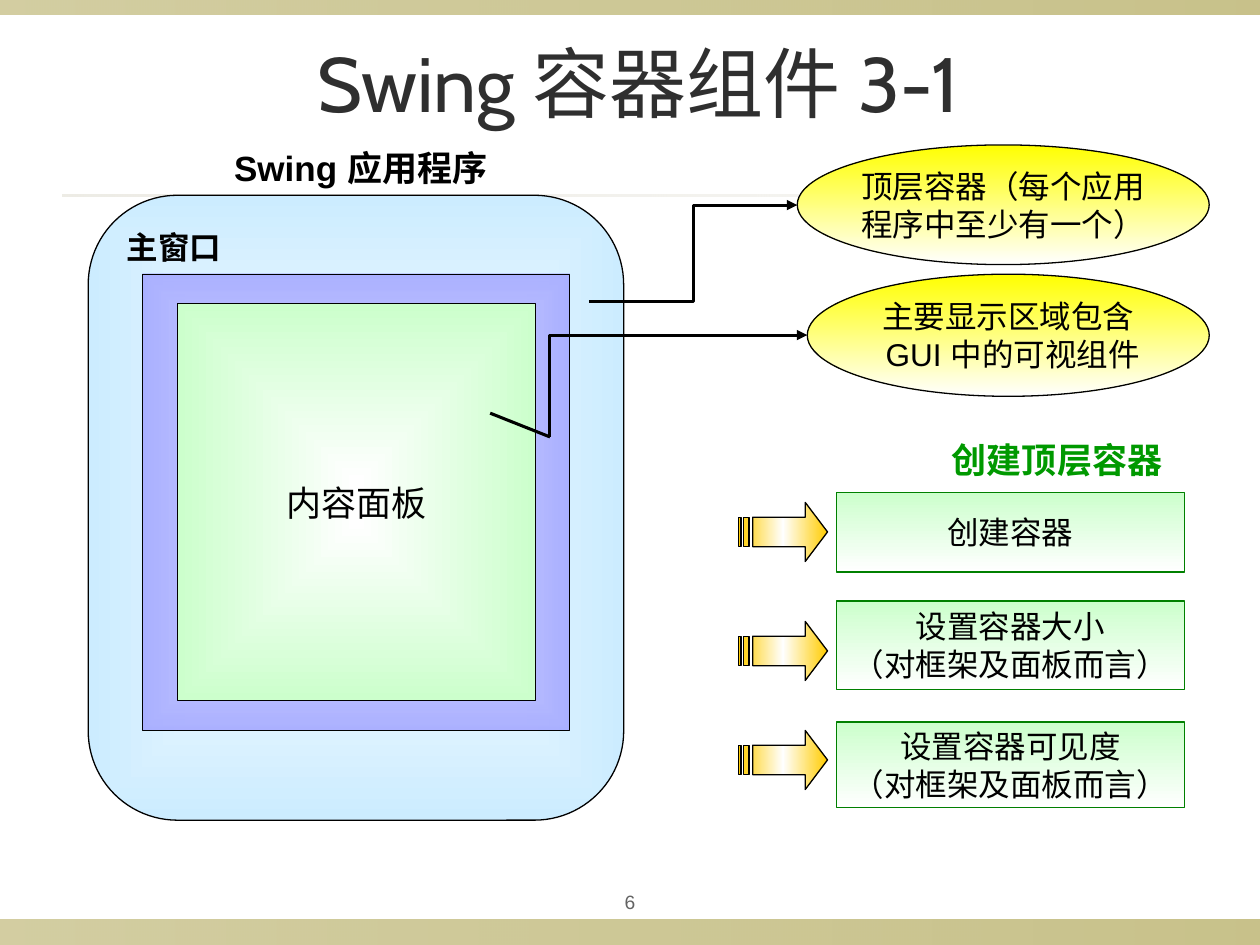
from lxml import etree
from pptx import Presentation
from pptx.dml.color import RGBColor
from pptx.enum.shapes import MSO_CONNECTOR, MSO_SHAPE
from pptx.enum.text import MSO_ANCHOR, PP_ALIGN
from pptx.oxml import parse_xml
from pptx.oxml.ns import nsdecls, qn
from pptx.util import Pt

RECT, OVAL = MSO_SHAPE.RECTANGLE, MSO_SHAPE.OVAL
ROUNDED = MSO_SHAPE.FLOWCHART_ALTERNATE_PROCESS
STRAIGHT, ELBOW = MSO_CONNECTOR.STRAIGHT, MSO_CONNECTOR.ELBOW
LEFT, CENTER = PP_ALIGN.LEFT, PP_ALIGN.CENTER
TOP, MIDDLE = MSO_ANCHOR.TOP, MSO_ANCHOR.MIDDLE

COLORS = {
    "black": "000000", "white": "FFFFFF", "title": "2F2F2F", "number": "636363",
    "olive": "918415", "rule": "DCD9CC", "sky": "CCECFF", "violet": "9999FF",
    "mint": "CCFFCC", "border": "008000", "heading": "009900",
    "yellow": "FFFF00", "gold": "FFCC00",
}


def set_text(sp, text, size=18, color="black", bold=False, font="Arial",
             align=CENTER, anchor=MIDDLE, wrap=False):
    """Fill a shape with text, one paragraph for each line."""
    tf = sp.text_frame
    tf.word_wrap = wrap
    tf.vertical_anchor = anchor
    for i, line in enumerate(text.split("\n")):
        p = tf.paragraphs[0] if i == 0 else tf.add_paragraph()
        p.alignment = align
        r = p.add_run()
        r.text = line
        r.font.name = font
        r.font.size = Pt(size)
        r.font.bold = bold
        r.font.color.rgb = RGBColor.from_string(COLORS[color])


def set_style(sp, stops, angle=None, line=None):
    """Gradient of (colour, opacity) stops; without an angle it runs from the centre."""
    sp.shadow.inherit = False
    if line:
        sp.line.color.rgb = RGBColor.from_string(COLORS[line])
        sp.line.width = Pt(0.75)
    else:
        sp.line.fill.background()
    gs = "".join(
        f'<a:gs pos="{100000 * i // (len(stops) - 1)}"><a:srgbClr val="{COLORS[c]}">'
        f'<a:alpha val="{alpha * 1000}"/></a:srgbClr></a:gs>'
        for i, (c, alpha) in enumerate(stops))
    if angle is None:
        run = ('<a:path path="rect"><a:fillToRect l="50000" t="50000" '
               'r="50000" b="50000"/></a:path>')
    else:
        run = f'<a:lin ang="{angle * 60000}" scaled="0"/>'
    grad = parse_xml(f'<a:gradFill {nsdecls("a")} rotWithShape="1">'
                     f'<a:gsLst>{gs}</a:gsLst>{run}</a:gradFill>')
    sp._element.spPr.find(qn("a:ln")).addprevious(grad)


prs = Presentation()
prs.slide_width, prs.slide_height = Pt(720), Pt(540)
s = prs.slides.add_slide(prs.slide_layouts[5])

# Bands and title rule
for x, y, w, h, color, start, end in (
    (0, 525.6, 720, 14.4, "olive", 40, 50),
    (0, 0, 720, 8.6, "olive", 40, 50),
    (36, 110.9, 648, 1.4, "rule", 50, 20),
):
    sp = s.shapes.add_shape(RECT, Pt(x), Pt(y), Pt(w), Pt(h))
    set_style(sp, [(color, start), (color, end)], angle=0)

# Title
title = s.shapes.title
title.left, title.top, title.width, title.height = Pt(33.8), Pt(15.1), Pt(671.8), Pt(62.6)
set_text(title, "Swing 容器组件 3-1 ", size=44, color="title", font="Cabin", wrap=True)

# Nested containers, callouts and steps
from_center = [("white", 100), ("sky", 100)], None, "black"
window = [("white", 100), ("violet", 73)], None, "black"
panel = [("white", 100), ("mint", 100)], None, "black"
callout = [("yellow", 100), ("white", 100)], 90, "black"
step = [("mint", 100), ("white", 100)], 90, "border"
for kind, x, y, w, h, style, text, fmt in (
    (ROUNDED, 50.4, 111.6, 306, 357.1, from_center, "主窗口",
     {"bold": True, "align": LEFT, "anchor": TOP}),
    (RECT, 81.4, 156.7, 244, 260.6, window, "", {}),
    (RECT, 101.5, 173.5, 204.5, 226.8, panel, "内容面板", {"size": 20}),
    (OVAL, 455.6, 82.8, 235.4, 68.4, callout, "顶层容器（每个应用\n程序中至少有一个）", {}),
    (OVAL, 461.3, 156.7, 229.7, 69.8, callout, "主要显示区域包含\n GUI 中的可视组件", {}),
    (RECT, 478.1, 281.5, 198.7, 45.4, step, "创建容器", {}),
    (RECT, 478.1, 343.5, 198.7, 50.4, step, "设置容器大小\n（对框架及面板而言）", {}),
    (RECT, 478.1, 412.6, 198.7, 49, step, "设置容器可见度\n（对框架及面板而言）", {}),
):
    sp = s.shapes.add_shape(kind, Pt(x), Pt(y), Pt(w), Pt(h))
    set_style(sp, *style)
    if text:
        set_text(sp, text, **fmt)

# Headings and slide number
for x, y, w, h, text, fmt in (
    (126.7, 79.9, 204.5, 31.7, "Swing 应用程序",
     {"size": 20, "bold": True, "align": LEFT, "anchor": TOP}),
    (456.5, 247, 295.2, 31.7, "创建顶层容器",
     {"size": 20, "bold": True, "color": "heading", "anchor": TOP}),
    (324, 504, 72, 22.3, "6", {"size": 11, "color": "number"}),
):
    sp = s.shapes.add_textbox(Pt(x), Pt(y), Pt(w), Pt(h))
    set_text(sp, text, wrap=True, **fmt)

# Striped arrows: a head with shaft, then two stripes
w, h = 50.9, 33.8
outlines = [
    [(0.75, 0), (0.75, 0.25), (0.16, 0.25), (0.16, 0.75), (0.75, 0.75), (0.75, 1), (1, 0.5)],
    *[[(a, 0.25), (a, 0.75), (b, 0.75), (b, 0.25)] for a, b in ((0.06, 0.12), (0, 0.03))],
]
for y in (287.1, 355.1, 417.4):
    fb = None
    for outline in outlines:
        pts = [(Pt(422 + u * w), Pt(y + v * h)) for u, v in outline]
        if fb is None:
            fb = s.shapes.build_freeform(*pts[0])
        else:
            fb.move_to(*pts[0])
        fb.add_line_segments(pts[1:], close=True)
    sp = fb.convert_to_shape()
    set_style(sp, [("gold", 100), ("white", 100), ("gold", 100)], angle=0, line="black")

# Leader lines; bend is where the elbow turns, in percent of the width
for kind, x1, y1, x2, y2, bend in (
    (ELBOW, 336.5, 172.5, 455.6, 117.2, 50),
    (STRAIGHT, 280.1, 236.1, 314.3, 249.7, None),
    (ELBOW, 314, 249.8, 461.3, 191.5, 0),
):
    c = s.shapes.add_connector(kind, Pt(x1), Pt(y1), Pt(x2), Pt(y2))
    c.line.color.rgb = RGBColor.from_string(COLORS["black"])
    c.line.width = Pt(1.75)
    spPr = c._element.spPr
    if bend is not None:
        etree.SubElement(spPr.find(qn("a:ln")), qn("a:tailEnd"), type="triangle")
        av = spPr.find(qn("a:prstGeom")).find(qn("a:avLst"))
        etree.SubElement(av, qn("a:gd"), name="adj1", fmla=f"val {bend * 1000}")
    etree.SubElement(spPr, qn("a:effectLst"))

prs.save("out.pptx")
